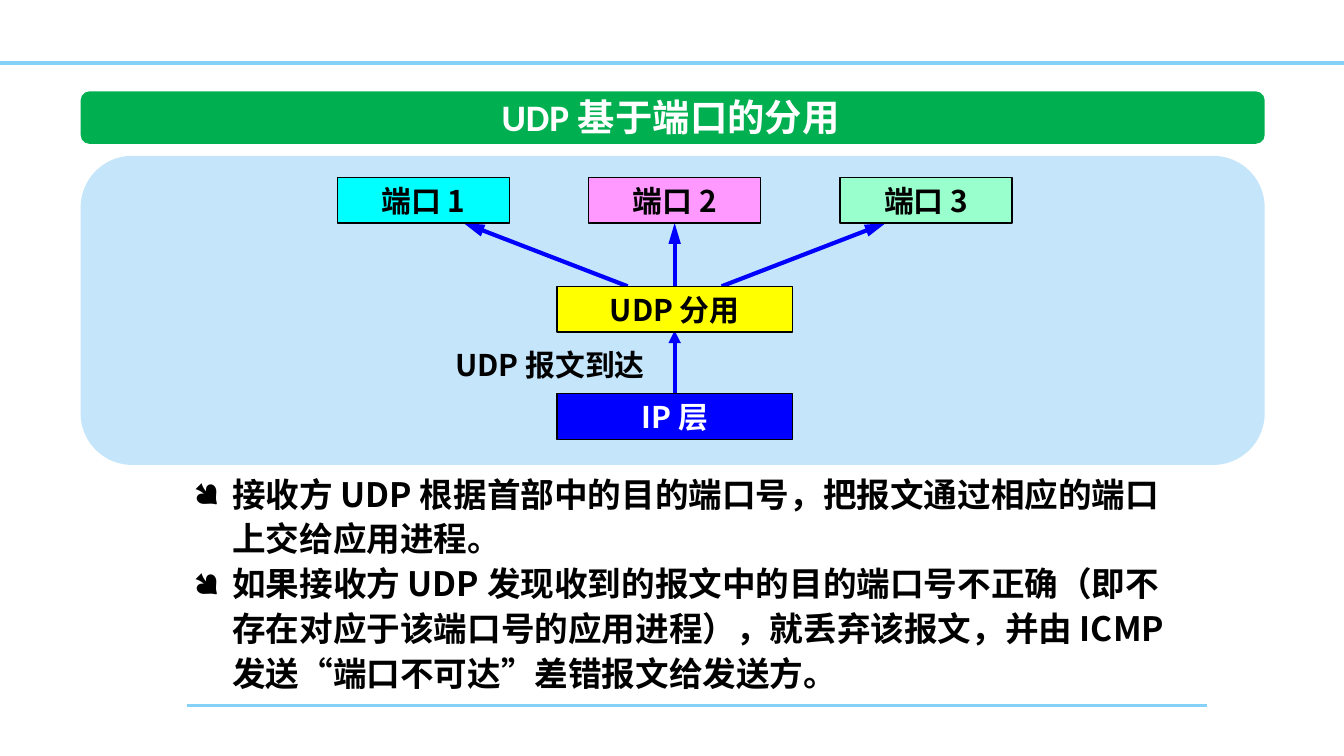
from lxml import etree
from pptx import Presentation
from pptx.dml.color import RGBColor
from pptx.enum.shapes import MSO_CONNECTOR, MSO_SHAPE
from pptx.enum.text import MSO_ANCHOR, PP_ALIGN
from pptx.oxml.ns import qn
from pptx.util import Inches, Pt

STRAIGHT = MSO_CONNECTOR.STRAIGHT
RECTANGLE = MSO_SHAPE.RECTANGLE
ROUNDED = MSO_SHAPE.ROUNDED_RECTANGLE
TOP = MSO_ANCHOR.TOP
MIDDLE = MSO_ANCHOR.MIDDLE
LEFT = PP_ALIGN.LEFT
CENTER = PP_ALIGN.CENTER
CJK_FONT = "Noto Sans CJK SC"
CENTER_X = 5.02
BOX_HEIGHT = 0.34


def color(value):
    return RGBColor.from_string(value)


def write_text(shape, paragraphs, size, ink="000000", font=CJK_FONT,
               align=LEFT, anchor=TOP, wrap=False, bullet=None):
    frame = shape.text_frame
    frame.word_wrap = wrap
    frame.vertical_anchor = anchor
    for index, text in enumerate(paragraphs):
        paragraph = frame.paragraphs[0] if index == 0 else frame.add_paragraph()
        paragraph.alignment = align
        if bullet:
            paragraph.line_spacing = Pt(24)
            properties = paragraph._p.get_or_add_pPr()
            properties.set("marL", str(Inches(0.29)))
            properties.set("indent", str(Inches(-0.29)))
            etree.SubElement(properties, qn("a:buFont"), typeface="Wingdings")
            etree.SubElement(properties, qn("a:buChar"), char=bullet)
        run = paragraph.add_run()
        run.text = text
        for name, value in {"size": Pt(size), "bold": True, "name": font}.items():
            setattr(run.font, name, value)
        run.font.color.rgb = color(ink)
        etree.SubElement(run._r.get_or_add_rPr(), qn("a:ea"), typeface=CJK_FONT)


presentation = Presentation()
presentation.slide_width = Inches(10)
presentation.slide_height = Inches(10 * 9 / 16)
slide = presentation.slides.add_slide(presentation.slide_layouts[6])
shapes = slide.shapes

bars = [
    (0.68, 0.39, "00B050"),
    (1.16, 2.3, "C5E5FB"),
]
for top, height, fill in bars:
    bar = shapes.add_shape(ROUNDED, Inches(0.6), Inches(top), Inches(8.81), Inches(height))
    bar.shadow.inherit = False
    bar.adjustments[0] = 0.167
    bar.fill.solid()
    bar.fill.fore_color.rgb = color(fill)
    bar.line.fill.background()

lines = [
    (1.39, 5.25, 8.98, 5.25, "85D1F7", 1.5, None),
    (0, 0.47, 10, 0.47, "85D1F7", 2, None),
    (CENTER_X, 2.93, CENTER_X, 2.46, "0000FF", 2.25, "med"),
]
for side in (-1, 0, 1):
    lines.append((CENTER_X + side * 0.35, 2.13, CENTER_X + side * 1.57, 1.66,
                  "0000FF", 2.25, "lg"))
for x1, y1, x2, y2, ink, width, head_length in lines:
    line = shapes.add_connector(STRAIGHT, Inches(x1), Inches(y1), Inches(x2), Inches(y2))
    line.line.color.rgb = color(ink)
    line.line.width = Pt(width)
    if head_length:
        etree.SubElement(line.line._get_or_add_ln(), qn("a:tailEnd"),
                         type="triangle", w="med", len=head_length)
    etree.SubElement(line._element.spPr, qn("a:effectLst"))

boxes = [
    ("IP 层", CENTER_X, 2.93, 1.75, "0000FF", "FFFFFF"),
    ("UDP 分用", CENTER_X, 2.13, 1.75, "FFFF00", "000000"),
]
for number, fill in enumerate(("00FFFF", "FF99FF", "99FFCC"), start=1):
    boxes.append((f"端口 {number}", CENTER_X + (number - 2) * 1.87, 1.32, 1.28,
                  fill, "000000"))
for text, middle, top, width, fill, ink in boxes:
    box = shapes.add_shape(RECTANGLE, Inches(middle - width / 2), Inches(top),
                           Inches(width), Inches(BOX_HEIGHT))
    box.shadow.inherit = False
    box.fill.solid()
    box.fill.fore_color.rgb = color(fill)
    box.line.color.rgb = color("000000")
    box.line.width = Pt(0.75)
    write_text(box, [text], 16, ink, align=CENTER, anchor=MIDDLE)

title = shapes.add_textbox(Inches(3.59), Inches(0.65), Inches(2.8), Inches(0.44))
write_text(title, ["UDP 基于端口的分用"], 20, "FFFFFF", "Calibri", CENTER)

arrival = shapes.add_textbox(Inches(3.29), Inches(2.53), Inches(1.66), Inches(0.37))
write_text(arrival, ["UDP 报文到达"], 16)

notes = [
    "接收方 UDP 根据首部中的目的端口号，把报文通过相应的端口上交给应用进程。",
    "如果接收方 UDP 发现收到的报文中的目的端口号不正确（即不存在对应于该端口号的应用进程），"
    "就丢弃该报文，并由 ICMP 发送“端口不可达”差错报文给发送方。",
]
explanation = shapes.add_textbox(Inches(1.34), Inches(3.44), Inches(7.53), Inches(1.78))
write_text(explanation, notes, 18, wrap=True, bullet="●")

presentation.save("out.pptx")
